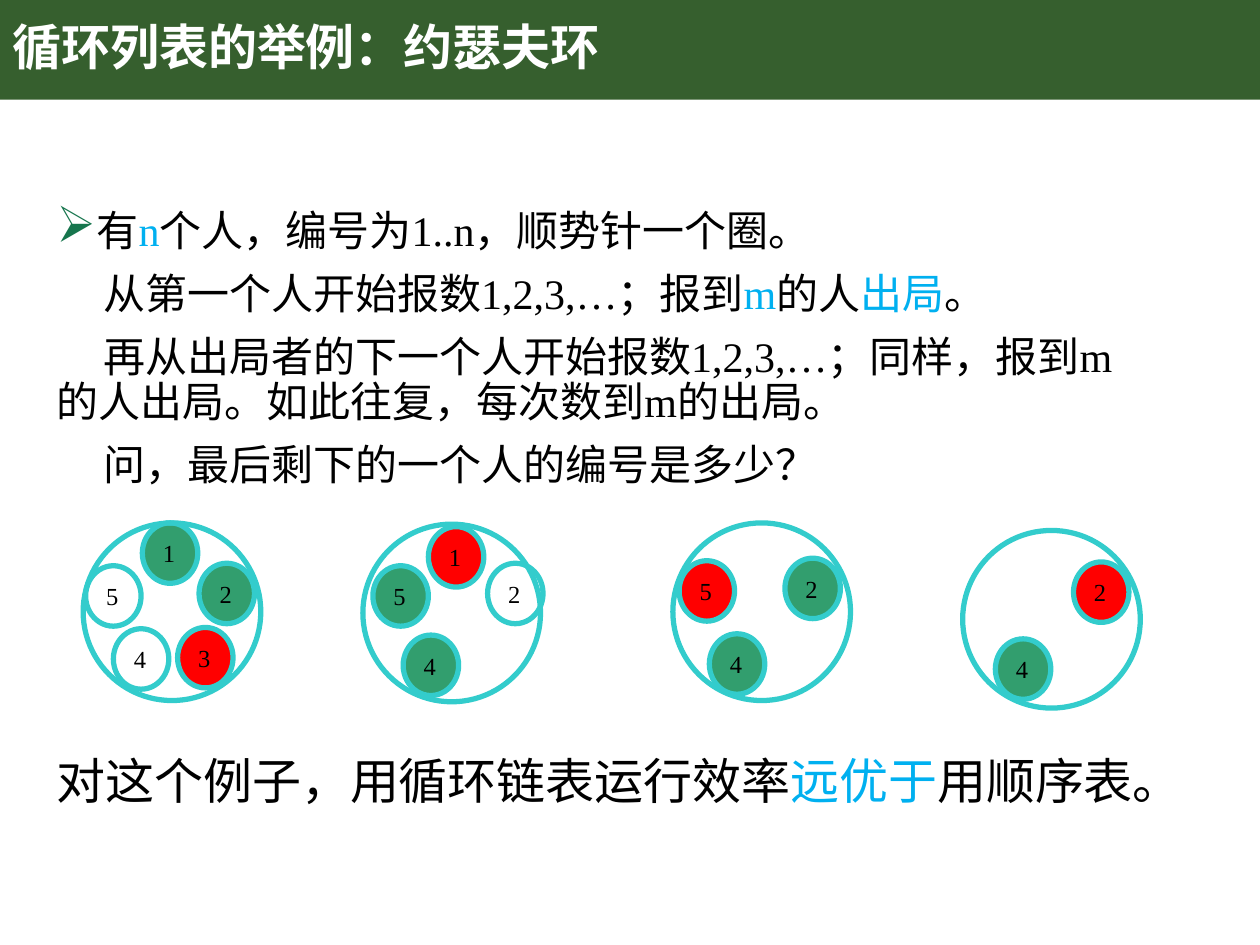
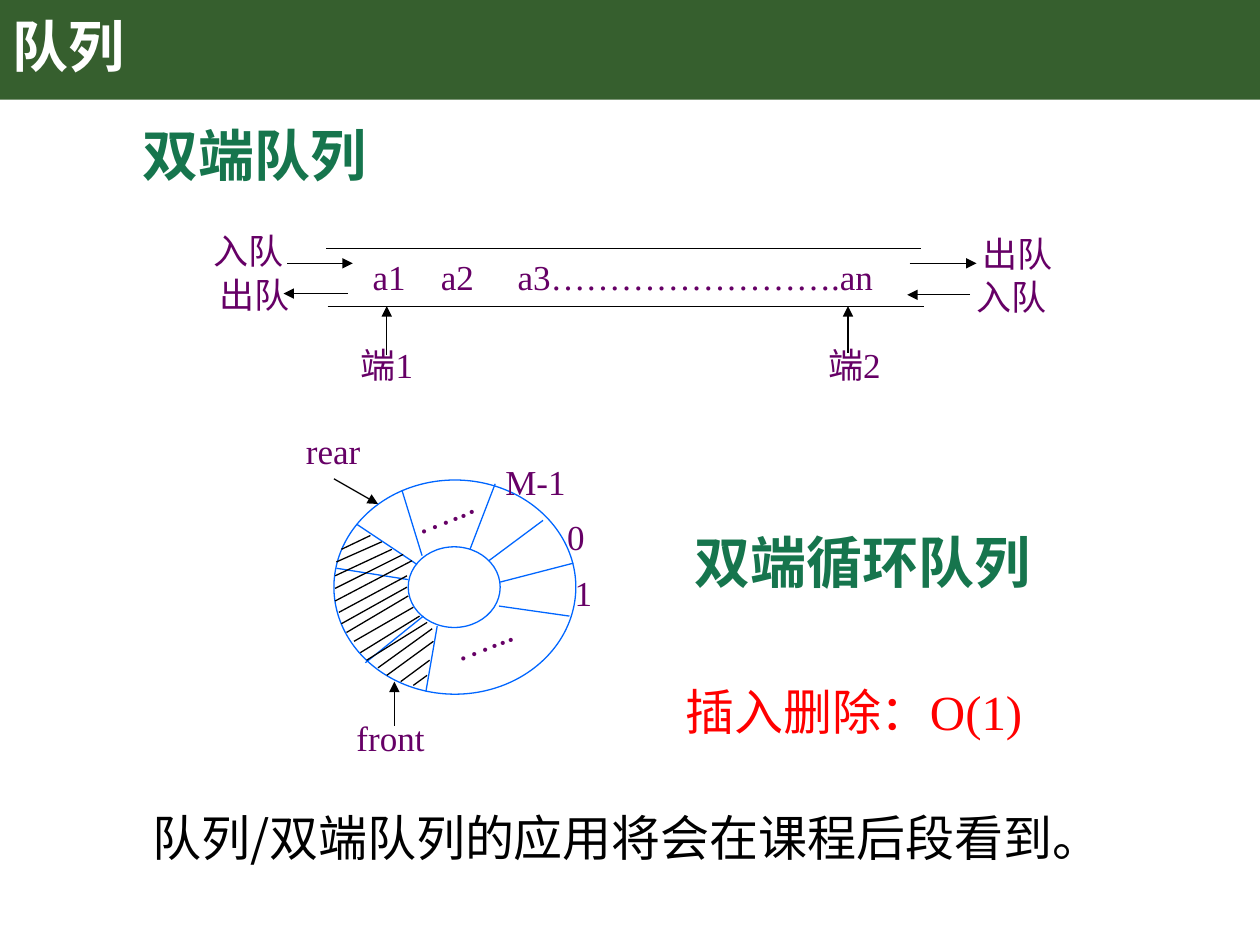
from lxml.etree import SubElement
from pptx import Presentation
from pptx.dml.color import RGBColor
from pptx.enum.shapes import MSO_CONNECTOR, MSO_SHAPE
from pptx.enum.text import MSO_ANCHOR, PP_ALIGN
from pptx.oxml.ns import qn
from pptx.util import Inches, Pt

COLORS = {
    "band": "365F2E", "white": "FFFFFF", "black": "000000",
    "heading": "16754D", "accent": "00B0F0", "label": "660066",
    "ring": "33CCCC", "waiting": "329E6E", "out": "FF0000",
    "wheel": "0066FF",
}
SERIF = "Times New Roman"
SANS = "Noto Sans CJK SC"
LABEL_HEIGHT = 0.43

RINGS = [
    (0.66, 4.15, [(1, 0.47, 0, "waiting"), (2, 0.92, 0.32, "waiting"),
                  (3, 0.75, 0.83, "out"), (4, 0.24, 0.84, "white"),
                  (5, 0.02, 0.34, "white")]),
    (2.88, 4.16, [(1, 0.52, 0.02, "out"), (2, 0.99, 0.31, "white"),
                  (4, 0.32, 0.88, "waiting"), (5, 0.08, 0.33, "waiting")]),
    (5.34, 4.15, [(2, 0.89, 0.28, "waiting"), (4, 0.29, 0.88, "waiting"),
                  (5, 0.05, 0.3, "out")]),
    (7.64, 4.21, [(2, 0.88, 0.25, "out"), (4, 0.26, 0.86, "waiting")]),
]
DEQUE_RAILS = [(1, 0.2, 5.72, 0.2), (1.01, 0.66, 5.74, 0.66)]
DEQUE_ARROWS = [
    (1.48, 1.05, 1.48, 0.66), (5.14, 1.03, 5.14, 0.66),
    (6.11, 0.57, 5.61, 0.57), (5.63, 0.32, 6.16, 0.32),
    (1.17, 0.56, 0.66, 0.56), (0.69, 0.32, 1.21, 0.32),
]
DEQUE_ENDS = [("端1", 1.17, 0.91), ("端2", 4.88, 0.91)]
DEQUE_MOVES = [("入队", 6.06, 0.37), ("出队", 6.11, 0.03),
               ("入队", 0, 0), ("出队", 0.05, 0.35)]
SPOKES = [
    (0.54, 0.08, 0.7, 0.6), (0.82, 1.16, 0.73, 1.68),
    (0.71, 1.08, 0.25, 1.45), (0.66, 0.67, 0.18, 0.35),
    (1.28, 0.03, 1.08, 0.55), (1.23, 0.64, 1.66, 0.32),
    (1.32, 0.81, 1.9, 0.66), (1.31, 1, 1.87, 1.08),
    (0.59, 0.79, 0.02, 0.7),
]
HATCHES = [
    (0.06, 0.55, 0.29, 0.44), (0.02, 0.65, 0.38, 0.49),
    (0.01, 0.76, 0.46, 0.55), (0.01, 0.86, 0.55, 0.59),
    (0.01, 0.96, 0.62, 0.64), (0.04, 1.05, 0.58, 0.76),
    (0.06, 1.14, 0.58, 0.85), (0.1, 1.21, 0.59, 0.92),
    (0.16, 1.28, 0.63, 1.01), (0.21, 1.37, 0.68, 1.08),
    (0.26, 1.43, 0.74, 1.13), (0.35, 1.49, 0.78, 1.18),
    (0.42, 1.55, 0.79, 1.28), (0.53, 1.6, 0.76, 1.43),
    (0.63, 1.63, 0.74, 1.55),
]
POINTERS = [(0.48, 1.95, 0.48, 1.6), (0, -0.01, 0.35, 0.19)]
WHEEL_LABELS = [
    ("0", 1.75, 0.23, 0.34, 0), ("M-1", 1.26, -0.2, 0.68, 0),
    ("1", 1.81, 0.68, 0.34, 0), ("front", 0.08, 1.83, 0.74, 0),
    ("rear", -0.32, -0.45, 0.63, 0),
    ("…...", 0.52, 0.03, 0.69, 338.4), ("…...", 0.83, 1.04, 0.69, 338.4),
]


def rgb(color):
    return RGBColor.from_string(COLORS[color])


def apply(target, **values):
    for name, value in values.items():
        setattr(target, name, value)


def add_spans(para, spans, size, font=SERIF, bold=False):
    for text, color in spans:
        if text == "\n":
            para.add_line_break()
            continue
        span = para.add_run()
        span.text = text
        apply(span.font, size=Pt(size), name=font, bold=bold)
        span.font.color.rgb = rgb(color)


def set_indent(para, margin, first):
    properties = para._p.get_or_add_pPr()
    properties.set("marL", str(Inches(margin)))
    properties.set("indent", str(Inches(first)))
    return properties


def add_text(page, box, text, size, color, font=SERIF, bold=False,
             anchor=MSO_ANCHOR.TOP, wrap=True, **para_format):
    shape = page.shapes.add_textbox(*map(Inches, box))
    apply(shape.text_frame, word_wrap=wrap, vertical_anchor=anchor)
    para = shape.text_frame.paragraphs[0]
    apply(para, **para_format)
    add_spans(para, [(text, color)], size, font, bold)
    return shape


def add_label(page, box, text, wrap=False, align=PP_ALIGN.CENTER):
    return add_text(page, box, text, 20, "label", wrap=wrap,
                    anchor=MSO_ANCHOR.MIDDLE, alignment=align)


def add_shape(page, kind, box, fill=None, line=None, width=0.75):
    shape = page.shapes.add_shape(kind, *map(Inches, box))
    shape.shadow.inherit = False
    if fill:
        shape.fill.solid()
        shape.fill.fore_color.rgb = rgb(fill)
    else:
        shape.fill.background()
    if line:
        shape.line.color.rgb = rgb(line)
        shape.line.width = Pt(width)
    else:
        shape.line.fill.background()
    return shape


def add_lines(page, left, top, segments, color="black", arrow=False):
    for x1, y1, x2, y2 in segments:
        line = page.shapes.add_connector(
            MSO_CONNECTOR.STRAIGHT, Inches(left + x1), Inches(top + y1),
            Inches(left + x2), Inches(top + y2))
        line.line.color.rgb = rgb(color)
        line.line.width = Pt(0.75)
        if arrow:
            SubElement(line.line._get_or_add_ln(), qn("a:tailEnd"),
                       type="triangle")
        SubElement(line._element.spPr, qn("a:effectLst"))


def add_page(deck, title, size, width):
    page = deck.slides.add_slide(deck.slide_layouts[6])
    add_shape(page, MSO_SHAPE.RECTANGLE, (0, 0, 10, 0.79), "band")
    add_text(page, (0, 0, width, 0.79), title, size, "white", bold=True,
             anchor=MSO_ANCHOR.MIDDLE, line_spacing=0.9)
    return page


def add_heading(page, box, text):
    heading = add_text(page, box, text, 32, "heading", font=SANS, bold=True,
                       space_before=Pt(6.4))
    set_indent(heading.text_frame.paragraphs[0], 0.12, 0)


def add_problem(page, box):
    paragraphs = [
        (24, 10, 0.25, -0.39, [("有", "black"), ("n", "accent"),
                               ("个人，编号为1..n，顺势针一个圈。", "black")]),
        (24, 10, 0, 0.37, [("从第一个人开始报数1,2,3,…；报到", "black"),
                           ("m", "accent"), ("的人", "black"),
                           ("出局", "accent"), ("。", "black")]),
        (24, 10, 0, 0.37, [
            ("再从出局者的下一个人开始报数1,2,3,…；同样，报到m", "black"),
            ("\n", "black"),
            ("的人出局。如此往复，每次数到m的出局。", "black")]),
        (24, 10, 0, 0.37, [("问，最后剩下的一个人的编号是多少？", "black")]),
        (28, 153, 0, 0, [("对这个例子，用循环链表运行效率", "black"),
                         ("远优于", "accent"), ("用顺序表。", "black")]),
    ]
    frame = page.shapes.add_textbox(*map(Inches, box)).text_frame
    frame.word_wrap = True
    for index, (size, before, margin, first, spans) in enumerate(paragraphs):
        para = frame.add_paragraph() if index else frame.paragraphs[0]
        apply(para, line_spacing=0.9, space_before=Pt(before))
        properties = set_indent(para, margin, first)
        if index == 0:
            color = SubElement(properties, qn("a:buClr"))
            SubElement(color, qn("a:srgbClr"), val=COLORS["heading"])
            SubElement(properties, qn("a:buSzPct"), val="120000")
            SubElement(properties, qn("a:buChar"), char="➢")
        add_spans(para, spans, size)


def add_ring(page, left, top, people):
    for number, x, y, state in people:
        person = add_shape(page, MSO_SHAPE.OVAL,
                           (left + x, top + y, 0.44, 0.48), state, "ring", 3)
        person.text_frame.vertical_anchor = MSO_ANCHOR.MIDDLE
        para = person.text_frame.paragraphs[0]
        para.alignment = PP_ALIGN.LEFT
        add_spans(para, [(str(number), "black")], 14)
    add_shape(page, MSO_SHAPE.OVAL, (left, top, 1.41, 1.41),
              line="ring", width=3)


def add_deque(page, left, top):
    add_lines(page, left, top, DEQUE_RAILS)
    items = add_label(page, (left + 1.27, top + 0.21, 4.24, LABEL_HEIGHT),
                      "a1\ta2\ta3…………………….an", align=PP_ALIGN.LEFT)
    properties = items.text_frame.paragraphs[0]._p.get_or_add_pPr()
    tabs = SubElement(properties, qn("a:tabLst"))
    for position in (0.54, 1.15):
        SubElement(tabs, qn("a:tab"), pos=str(Inches(position)), algn="l")
    add_lines(page, left, top, DEQUE_ARROWS, arrow=True)
    for labels, width, wrap in ((DEQUE_ENDS, 0.62, True),
                                (DEQUE_MOVES, 0.76, False)):
        for text, x, y in labels:
            add_label(page, (left + x, top + y, width, LABEL_HEIGHT),
                      text, wrap)


def add_wheel(page, left, top):
    for x, y, width, height in ((0, 0, 1.92, 1.7), (0.59, 0.53, 0.73, 0.64)):
        add_shape(page, MSO_SHAPE.OVAL, (left + x, top + y, width, height),
                  line="wheel")
    add_lines(page, left, top, SPOKES, "wheel")
    add_lines(page, left, top, HATCHES)
    add_lines(page, left, top, POINTERS, arrow=True)
    for text, x, y, width, rotation in WHEEL_LABELS:
        label = add_label(page, (left + x, top + y, width, LABEL_HEIGHT), text)
        label.rotation = rotation


def build_josephus(deck):
    page = add_page(deck, "循环列表的举例：约瑟夫环", 28, 8.62)
    add_problem(page, (0.35, 1.62, 9.3, 5.06))
    for ring in RINGS:
        add_ring(page, *ring)


def build_queue(deck):
    page = add_page(deck, "队列", 32, 8.08)
    add_heading(page, (0.91, 0.91, 3.07, 0.74), "双端队列")
    add_deque(page, 1.59, 1.77)
    add_wheel(page, 2.65, 3.81)
    add_heading(page, (5.29, 4.14, 4.12, 0.74), "双端循环队列")
    add_text(page, (5.34, 5.36, 4.12, 0.57), "插入删除：O(1)", 28, "out")
    add_text(page, (1.11, 6.36, 7.68, 1),
             "队列/双端队列的应用将会在课程后段看到。", 28, "black",
             font=SANS, space_before=Pt(5.6))


def main():
    deck = Presentation()
    apply(deck, slide_width=Inches(10), slide_height=Inches(7.5))
    build_josephus(deck)
    build_queue(deck)
    deck.save("out.pptx")


if __name__ == "__main__":
    main()
